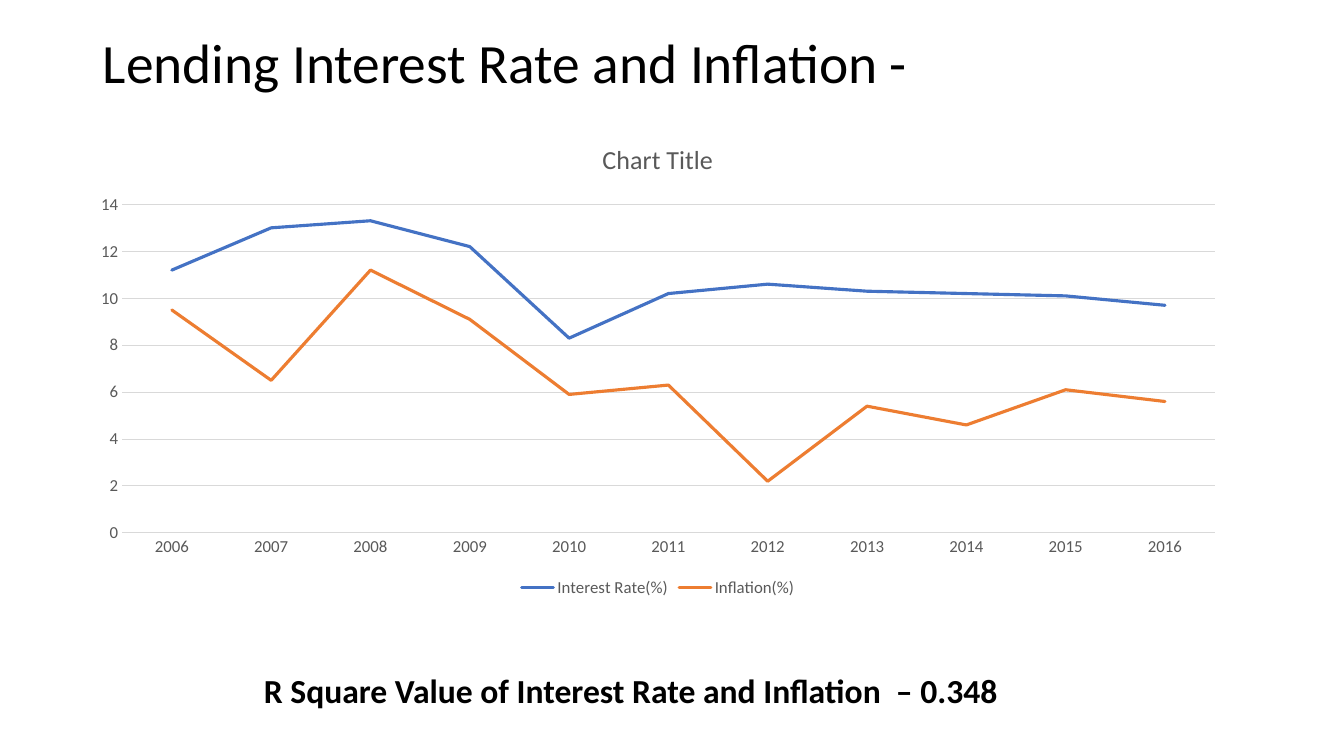
from lxml import etree
from pptx import Presentation
from pptx import util as u
from pptx.chart.data import CategoryChartData
from pptx.dml.color import RGBColor
from pptx.enum import chart as charts, text
from pptx.oxml.ns import qn

FONT = "Calibri"
WIDTH, HEIGHT = u.Inches(13.33), u.Inches(7.5)
COLORS = {"ink": "000000", "label": "595959", "grid": "D9D9D9",
          "Interest Rate(%)": "4472C4", "Inflation(%)": "ED7D31"}
YEARS = [str(year) for year in range(2006, 2017)]
RATES = {
    "Interest Rate(%)": [11.2, 13, 13.3, 12.2, 8.3, 10.2, 10.6, 10.3, 10.2, 10.1, 9.7],
    "Inflation(%)": [9.5, 6.5, 11.2, 9.1, 5.9, 6.3, 2.2, 5.4, 4.6, 6.1, 5.6],
}


def area(left, top, width, height):
    """Turn shares of the slide's size into lengths."""
    return (int(left * WIDTH), int(top * HEIGHT),
            int(width * WIDTH), int(height * HEIGHT))


def style_font(font, size, color, bold=False):
    """Set the typeface, size, colour and weight of a font."""
    font.name, font.size, font.bold = FONT, u.Pt(size), bold
    font.color.rgb = RGBColor.from_string(COLORS[color])


def style_line(line, color, width):
    """Set the colour and width of a line."""
    line.color.rgb = RGBColor.from_string(COLORS[color])
    line.width = u.Pt(width)


def add_title(page, words):
    """Place and format the slide title."""
    title = page.shapes.title
    title.left, title.top, title.width, title.height = area(0.069, 0.053, 0.863, 0.068)
    frame = title.text_frame
    frame.text = words
    frame.word_wrap = True
    frame.auto_size = text.MSO_AUTO_SIZE.NONE
    frame.vertical_anchor = text.MSO_ANCHOR.MIDDLE
    para = frame.paragraphs[0]
    para.alignment, para.line_spacing = text.PP_ALIGN.LEFT, 0.9
    style_font(para.runs[0].font, 39.6, "ink")


def style_axis(axis):
    """Remove the tick marks of an axis and format its labels."""
    axis.major_tick_mark = axis.minor_tick_mark = charts.XL_TICK_MARK.NONE
    style_font(axis.tick_labels.font, 12, "label")


def add_line_chart(page, heading):
    """Add the line chart of interest and inflation by year."""
    rates = CategoryChartData()
    rates.categories = YEARS
    for name, values in RATES.items():
        rates.add_series(name, values)
    chart = page.shapes.add_chart(charts.XL_CHART_TYPE.LINE,
                                  *area(0.058, 0.161, 0.863, 0.635), rates).chart
    style_font(chart.font, 10, "ink")

    chart.has_title = True
    chart.chart_title.include_in_layout = False
    chart.chart_title.text_frame.text = heading
    span = chart.chart_title.text_frame.paragraphs[0].runs[0]
    style_font(span.font, 18.6, "label")

    chart.has_legend = True
    chart.legend.position = charts.XL_LEGEND_POSITION.BOTTOM
    chart.legend.include_in_layout = False
    style_font(chart.legend.font, 12, "label")

    years, percents = chart.category_axis, chart.value_axis
    style_axis(years)
    style_line(years.format.line, "grid", 0.75)
    style_axis(percents)
    percents.format.line.fill.background()
    style_line(percents.major_gridlines.format.line, "grid", 0.75)
    percents.minimum_scale, percents.maximum_scale, percents.major_unit = 0, 14, 2
    percents.tick_labels.number_format = "General"
    percents.tick_labels.number_format_is_linked = False

    plot = chart.plots[0]
    plot.vary_by_categories = False
    for series in plot.series:
        series.smooth = False
        series.marker.style = charts.XL_MARKER_STYLE.NONE
        style_line(series.format.line, series.name, 2.25)
        stroke = series.format.line.fill._xPr
        stroke.set("cap", "rnd")
        etree.SubElement(stroke, qn("a:round"))


def add_caption(page, words):
    """Add the bold statement below the chart."""
    box = page.shapes.add_textbox(*area(0.189, 0.879, 0.566, 0.108))
    frame = box.text_frame
    frame.text = words
    frame.word_wrap = False
    frame.auto_size = text.MSO_AUTO_SIZE.SHAPE_TO_FIT_TEXT
    style_font(frame.paragraphs[0].runs[0].font, 24, "ink", bold=True)


def main():
    """Build the slide and save the deck."""
    deck = Presentation()
    deck.slide_width, deck.slide_height = WIDTH, HEIGHT
    page = deck.slides.add_slide(deck.slide_layouts[5])
    add_title(page, "Lending Interest Rate and Inflation - ")
    add_line_chart(page, "Chart Title")
    add_caption(page, "R Square Value of Interest Rate and Inflation  – 0.348")
    deck.save("out.pptx")


main()
